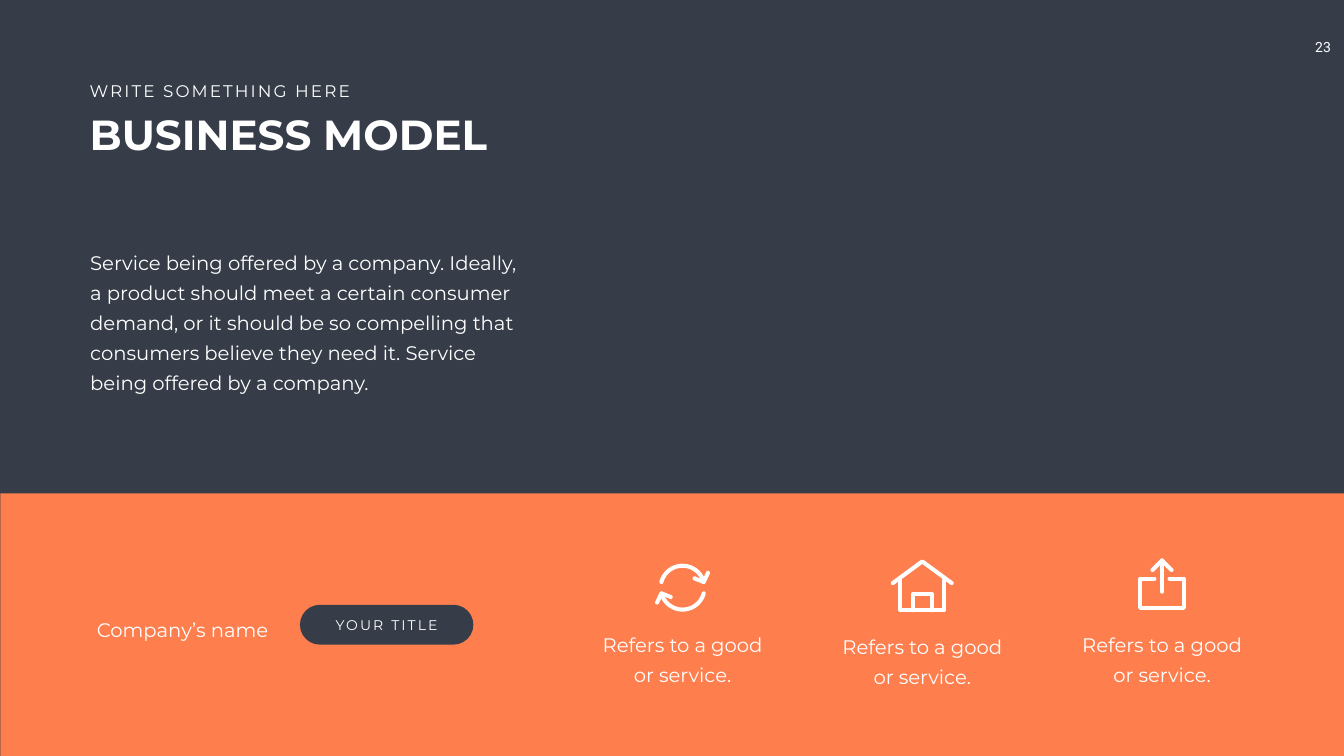
import math

import pptx
import pptx.dml.color
import pptx.enum.shapes
import pptx.enum.text
import pptx.util
from lxml import etree
from pptx.oxml.ns import qn

Inches = pptx.util.Inches
Pt = pptx.util.Pt
ALIGN = pptx.enum.text.PP_ALIGN
SHAPE = pptx.enum.shapes.MSO_SHAPE

NAVY = pptx.dml.color.RGBColor(0x36, 0x3D, 0x48)
ORANGE = pptx.dml.color.RGBColor(0xFE, 0x7E, 0x4E)
WHITE = pptx.dml.color.RGBColor(0xFF, 0xFF, 0xFF)

PLAIN = {"inset": (0.1, 0.05)}
BODY = {"size": 28, "inset": (0.24, 0.12), "line_spacing": Pt(43)}
STROKE = Pt(5.8)


def write(shape, text, size=20, font_name="Montserrat", bold=False, tracking=0,
          inset=(0.1, 0.05), alignment=ALIGN.LEFT, line_spacing=None):
    """Put one formatted paragraph into a shape; tracking is in points."""
    frame = shape.text_frame
    across, down = (Inches(length) for length in inset)
    frame_format = {
        "word_wrap": True,
        "auto_size": pptx.enum.text.MSO_AUTO_SIZE.NONE,
        "vertical_anchor": pptx.enum.text.MSO_ANCHOR.TOP,
        "margin_left": across, "margin_right": across,
        "margin_top": down, "margin_bottom": down,
    }
    for name, value in frame_format.items():
        setattr(frame, name, value)
    paragraph = frame.paragraphs[0]
    paragraph.alignment = alignment
    if line_spacing:
        paragraph.line_spacing = line_spacing
    run = paragraph.add_run()
    run.text = text
    for name, value in {"name": font_name, "size": Pt(size), "bold": bold}.items():
        setattr(run.font, name, value)
    run.font.color.rgb = WHITE
    if tracking:
        run._r.get_or_add_rPr().set("spc", str(tracking * 100))


def add_text(slide, left, top, width, height, text, **text_format):
    box = slide.shapes.add_textbox(*map(Inches, (left, top, width, height)))
    write(box, text, **text_format)


def add_block(slide, kind, left, top, width, height, color):
    shape = slide.shapes.add_shape(kind, *map(Inches, (left, top, width, height)))
    shape.shadow.inherit = False
    shape.fill.solid()
    shape.fill.fore_color.rgb = color
    shape.line.fill.background()
    return shape


def add_strokes(slide, center, top, *lines):
    """Draw white round-ended lines as one shape, relative to a top centre point."""
    placed = [[(Inches(center + x), Inches(top + y)) for x, y in line] for line in lines]
    builder = slide.shapes.build_freeform(*placed[0][0])
    for index, points in enumerate(placed):
        if index:
            builder.move_to(*points[0])
        builder.add_line_segments(points[1:], close=False)
    shape = builder.convert_to_shape()
    shape.shadow.inherit = False
    shape.fill.background()
    shape.line.color.rgb = WHITE
    shape.line.width = STROKE
    outline = shape.line._get_or_add_ln()
    outline.set("cap", "rnd")
    etree.SubElement(outline, qn("a:round"))


def draw_cycle(slide, center, top):
    middle, radius = 0.57, 0.435
    angles = [math.radians(degrees) for degrees in range(195, 346, 5)]
    arc = [(radius * math.cos(angle), radius * math.sin(angle)) for angle in angles]
    head = [(0.235, -0.185), arc[-1], (0.505, -0.295)]
    for turn in (1, -1):
        add_strokes(slide, center, top + middle,
                    *[[(turn * x, turn * y) for x, y in line] for line in (arc, head)])


def draw_house(slide, center, top):
    roof = [(-0.585, 0.48), (0, 0.05), (0.585, 0.48)]
    walls = [(-0.435, 0.42), (-0.435, 1.02), (0.435, 1.02), (0.435, 0.42)]
    door = [(-0.185, 1.02), (-0.185, 0.69), (0.185, 0.69), (0.185, 1.02)]
    add_strokes(slide, center, top, roof, walls, door)


def draw_share(slide, center, top):
    tray = [(-0.15, 0.39), (-0.435, 0.39), (-0.435, 0.97),
            (0.435, 0.97), (0.435, 0.39), (0.15, 0.39)]
    shaft = [(0, 0.65), (0, 0.03)]
    head = [(-0.19, 0.22), (0, 0.03), (0.19, 0.22)]
    add_strokes(slide, center, top, tray)
    add_strokes(slide, center, top, shaft, head)


def add_heading(slide, left, top, width):
    title = slide.shapes.title
    place = {"left": left, "top": top + 0.55, "width": width, "height": 1.11}
    for name, value in place.items():
        setattr(title, name, Inches(value))
    write(title, "BUSINESS MODEL", size=60, bold=True)
    add_text(slide, left, top, 6, 0.5, "WRITE SOMETHING HERE", size=24, tracking=3)


def add_company(slide, left, top, height):
    add_text(slide, left, top, 4.02, height, "Company’s name", **BODY)
    pill = add_block(slide, SHAPE.ROUNDED_RECTANGLE, left + 4.27, top, 3.44, height, NAVY)
    pill.adjustments[0] = 0.5
    add_text(slide, left + 4.51, top + 0.19, 2.96, 0.44, "YOUR TITLE",
             tracking=3, alignment=ALIGN.CENTER)


def add_features(slide, left, top, pitch):
    width = 3.86
    features = [(draw_cycle, 1.22), (draw_house, 1.25), (draw_share, 1.22)]
    for index, (draw_icon, drop) in enumerate(features):
        column = left + index * pitch
        draw_icon(slide, column + width / 2, top)
        add_text(slide, column, top + drop, width, 1.39, "Refers to a good or service.",
                 alignment=ALIGN.CENTER, **BODY)


def main():
    presentation = pptx.Presentation()
    presentation.slide_width = Inches(26.66)
    presentation.slide_height = Inches(15)
    slide = presentation.slides.add_slide(presentation.slide_layouts.get_by_name("Title Only"))
    slide.background.fill.solid()
    slide.background.fill.fore_color.rgb = NAVY

    add_block(slide, SHAPE.RECTANGLE, 0.01, 9.79, 26.65, 5.21, ORANGE)
    add_text(slide, 25.79, 0.67, 0.91, 0.54, "23", font_name="Roboto",
             inset=(0.1, 0.1), alignment=ALIGN.CENTER)
    add_heading(slide, 1.68, 1.55, 8.93)
    add_text(slide, 1.55, 4.72, 9.06, 3.2,
             "Service being offered by a company. Ideally, a product should meet a certain "
             "consumer demand, or it should be so compelling that consumers believe they "
             "need it. Service being offered by a company.", **BODY)
    add_company(slide, 1.68, 12, 0.79)
    add_features(slide, 11.61, 11.09, 4.755)
    presentation.save("out.pptx")


if __name__ == "__main__":
    main()
